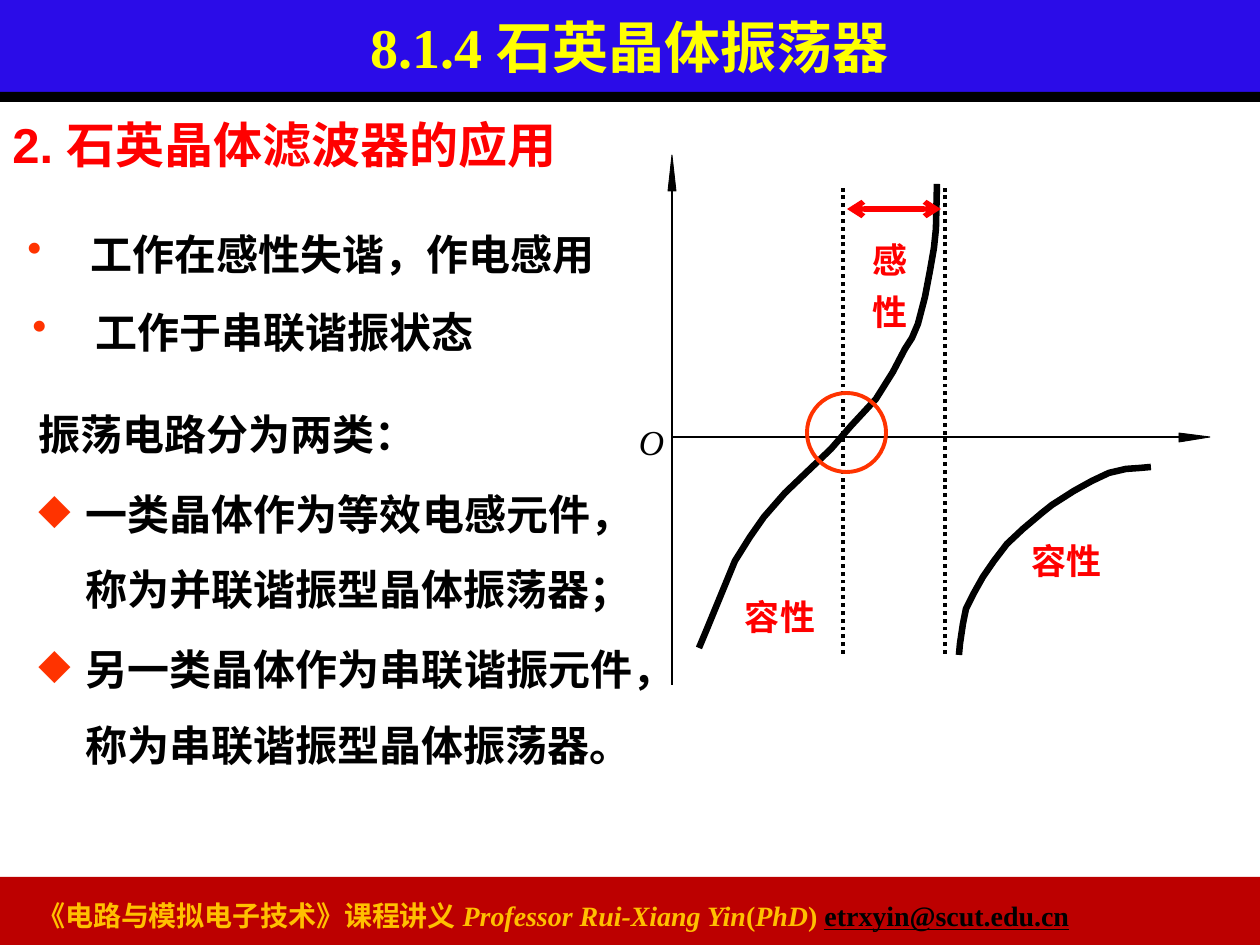
from dataclasses import dataclass
from lxml import etree
from pptx import Presentation
from pptx.dml.color import RGBColor
from pptx.enum.dml import MSO_LINE
from pptx.enum.shapes import MSO_CONNECTOR, MSO_SHAPE
from pptx.enum.text import MSO_ANCHOR, PP_ALIGN
from pptx.oxml.ns import qn
from pptx.util import Pt

SCALE = 914400 / 126
RECT, OVAL = MSO_SHAPE.RECTANGLE, MSO_SHAPE.OVAL
STRAIGHT = MSO_CONNECTOR.STRAIGHT
DOTS = MSO_LINE.ROUND_DOT
MIDDLE = MSO_ANCHOR.MIDDLE
LEFT, CENTER, JUSTIFY = PP_ALIGN.LEFT, PP_ALIGN.CENTER, PP_ALIGN.JUSTIFY


@dataclass(frozen=True)
class Theme:
    black: str = "000000"
    blue: str = "2B0CE8"
    brick: str = "BC0000"
    red: str = "FF0000"
    orange: str = "FF3300"
    gold: str = "FFC000"
    yellow: str = "FFFF00"
    serif: str = "Times New Roman"
    sans: str = "Arial"
    han: str = "Noto Sans CJK SC"
    title: int = 32
    head: int = 28
    body: int = 24
    label: int = 20
    foot: int = 16


T = Theme()
RISE = [(699, 648), (707, 629), (721, 595), (735, 561), (750, 537),
        (764, 517), (785, 493), (808, 471), (831, 449), (851, 426),
        (876, 399), (893, 372), (905, 349), (912, 338), (918, 324),
        (925, 297), (930, 271), (934, 248), (936, 229), (937, 184)]
FALL = [(1151, 467), (1140, 468), (1126, 469), (1109, 473), (1092, 481),
        (1074, 491), (1052, 505), (1042, 513), (1023, 529), (1007, 544),
        (994, 561), (983, 577), (974, 593), (966, 609), (963, 624),
        (960, 644), (959, 655)]
TIPS = [[(1210, 437), (1179, 433), (1179, 442)],
        [(672, 155), (668, 191), (676, 191)]]
LABELS = [("容性", 1031, 539, 71), ("容性", 745, 595, 71),
          ("感", 873, 238, 35), ("性", 873, 290, 35)]
POINTS = [("工作在感性失谐，作电感用", 15, 217, 605),
          ("工作于串联谐振状态", 20, 295, 580)]
KINDS = ["一类晶体作为等效电感元件，称为并联谐振型晶体振荡器；",
         "另一类晶体作为串联谐振元件，称为串联谐振型晶体振荡器。"]


def emu(px):
    return round(px * SCALE)


def rgb(color):
    return RGBColor.from_string(color)


def paint(shape, fill=None, line=None, width=1):
    shape.shadow.inherit = False
    if fill:
        shape.fill.solid()
        shape.fill.fore_color.rgb = rgb(fill)
    else:
        shape.fill.background()
    if line:
        shape.line.color.rgb = rgb(line)
        shape.line.width = Pt(width)
    else:
        shape.line.fill.background()


def add_form(slide, kind, box, **look):
    paint(slide.shapes.add_shape(kind, *map(emu, box)), **look)


def add_path(slide, points, closed, **look):
    pen = slide.shapes.build_freeform(*points[0], scale=SCALE)
    pen.add_line_segments(points[1:], close=closed)
    paint(pen.convert_to_shape(), **look)


def add_line(slide, start, end, color, width, dash=None, heads=False):
    rule = slide.shapes.add_connector(STRAIGHT, *map(emu, start + end))
    rule.line.color.rgb = rgb(color)
    rule.line.width = Pt(width)
    if dash:
        rule.line.dash_style = dash
    if heads:
        line = rule.line._get_or_add_ln()
        for tag in ("a:headEnd", "a:tailEnd"):
            etree.SubElement(line, qn(tag), type="arrow")
    etree.SubElement(rule._element.spPr, qn("a:effectLst"))


def add_frame(slide, box, wrap=True, inset=True):
    frame = slide.shapes.add_textbox(*map(emu, box)).text_frame
    frame.word_wrap = wrap
    if not inset:
        frame.margin_left = frame.margin_right = 0
        frame.margin_top = frame.margin_bottom = 0
    return frame


def add_mark(para, mark, indent):
    props = para._p.get_or_add_pPr()
    props.set("marL", str(emu(indent)))
    props.set("indent", str(-emu(indent)))
    tint = etree.SubElement(props, qn("a:buClr"))
    etree.SubElement(tint, qn("a:srgbClr"), val=T.orange)
    etree.SubElement(props, qn("a:buChar"), char=mark)


def style(para, size, color, face=T.serif, bold=True, italic=None,
          align=LEFT):
    para.alignment = align
    font = para.font
    font.size = Pt(size)
    font.bold = bold
    font.italic = italic
    font.color.rgb = rgb(color)
    font.name = face
    etree.SubElement(font._element, qn("a:ea"), typeface=T.han)


def add_text(slide, text, box, size, color, wrap=True, inset=True, **look):
    frame = add_frame(slide, box, wrap, inset)
    para = frame.paragraphs[0]
    para.text = text
    style(para, size, color, **look)
    return frame


def add_point(slide, text, left, top, width):
    para = add_frame(slide, (left, top, width, 69)).paragraphs[0]
    para.text = text
    add_mark(para, "•", 63)
    para.line_spacing = 1.1
    style(para, T.body, T.black, align=JUSTIFY)


def add_body(slide):
    frame = add_text(slide, "振荡电路分为两类：", (26, 377, 619, 481),
                     T.body, T.black, align=JUSTIFY)
    frame.paragraphs[0].line_spacing = 1.5
    for text in KINDS:
        para = frame.add_paragraph()
        para.text = text
        add_mark(para, "◆", 47)
        para.line_spacing = 1.5
        para.space_before = Pt(2.4)
        style(para, T.body, T.black, align=JUSTIFY)


def add_foot(slide):
    para = add_frame(slide, (25, 892, 1111, 47)).paragraphs[0]
    for text, slant in [("《电路与模拟电子技术》课程讲义 ", False),
                        ("Professor Rui-Xiang Yin", True), ("(", False),
                        ("PhD", True), (") ", False)]:
        run = para.add_run()
        run.text = text
        run.font.italic = slant
    mail = para.add_run()
    mail.text = "etrxyin@scut.edu.cn"
    mail.font.underline = True
    mail.font.color.rgb = rgb(T.black)
    style(para, T.foot, T.gold)


def add_graph(slide):
    add_line(slide, (672, 437), (1187, 437), T.black, 1.38)
    add_line(slide, (672, 178), (672, 685), T.black, 1.38)
    for tip in TIPS:
        add_path(slide, tip, True, fill=T.black, line=T.black, width=0.5)
    for curve in (RISE, FALL):
        add_path(slide, curve, False, line=T.black, width=3.75)
    add_text(slide, "O", (639, 420, 25, 42), T.label, T.black,
             wrap=False, inset=False, bold=False, italic=True)
    for text, left, top, width in LABELS:
        add_text(slide, text, (left, top, width, 43), T.label, T.red,
                 wrap=False, inset=False, face=T.han)
    for x in (843, 945):
        add_line(slide, (x, 654), (x, 184), T.black, 2.25, dash=DOTS)
    add_line(slide, (847, 209), (941, 209), T.red, 3, heads=True)
    add_form(slide, OVAL, (807, 393, 79, 79), line=T.orange, width=2.25)


def main():
    deck = Presentation()
    deck.slide_width, deck.slide_height = emu(1260), emu(945)
    slide = deck.slides.add_slide(deck.slide_layouts[6])
    add_form(slide, RECT, (0, 877, 1260, 68), fill=T.brick)
    add_form(slide, RECT, (0, 0, 1260, 96), fill=T.blue)
    add_form(slide, RECT, (0, 92, 1260, 10), fill=T.black)
    add_foot(slide)
    title = add_text(slide, "8.1.4 石英晶体振荡器", (0, 0, 1260, 92),
                     T.title, T.yellow, align=CENTER)
    title.vertical_anchor = MIDDLE
    add_text(slide, "2. 石英晶体滤波器的应用", (0, 108, 582, 72),
             T.head, T.red, face=T.sans)
    for point in POINTS:
        add_point(slide, *point)
    add_body(slide)
    add_graph(slide)
    deck.save("out.pptx")


if __name__ == "__main__":
    main()
